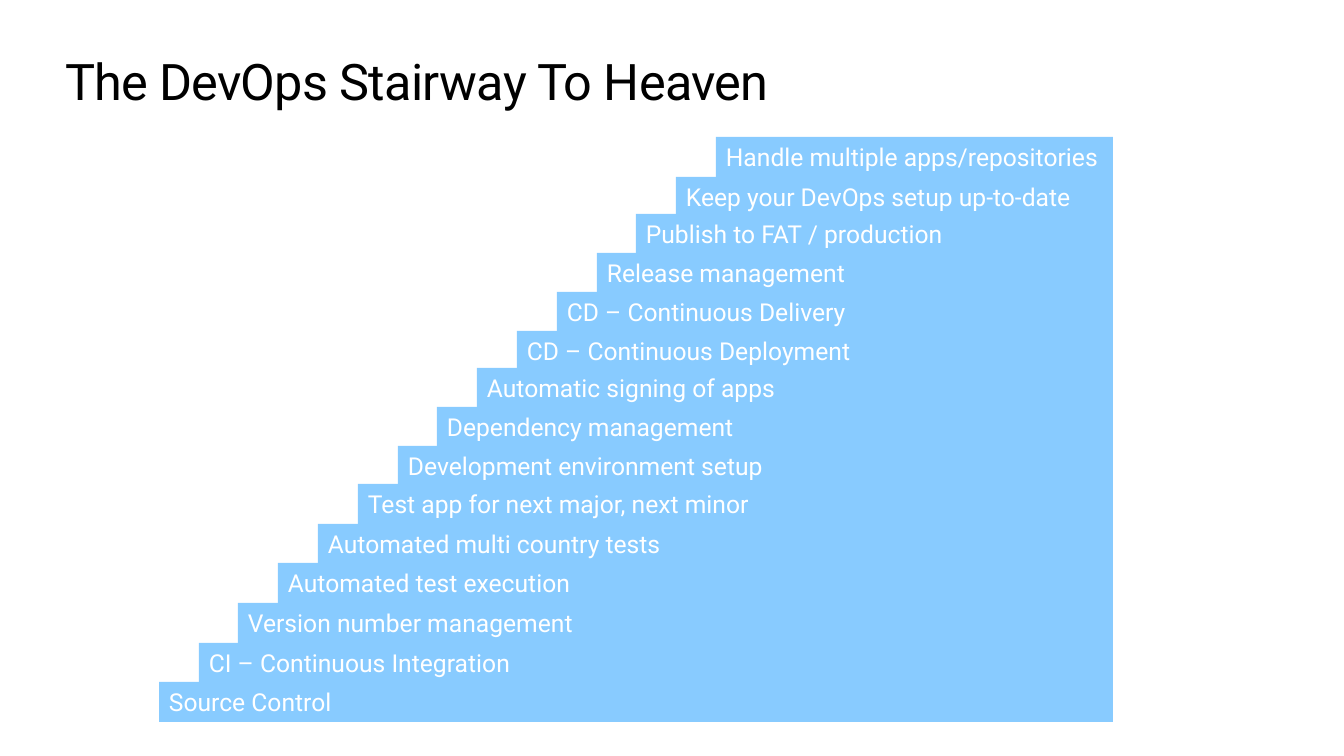
from pptx import Presentation
from pptx.dml.color import RGBColor
from pptx.enum.shapes import MSO_SHAPE
from pptx.enum.text import MSO_ANCHOR, MSO_AUTO_SIZE, PP_ALIGN
from pptx.util import Emu, Pt

RECTANGLE = MSO_SHAPE.RECTANGLE
TOP, MIDDLE = MSO_ANCHOR.TOP, MSO_ANCHOR.MIDDLE
LEFT = PP_ALIGN.LEFT
GROW = MSO_AUTO_SIZE.SHAPE_TO_FIT_TEXT

# Content: each step with its top edge in px, from the highest down
TITLE = "The DevOps Stairway To Heaven"
STEPS = [
    ("Handle multiple apps/repositories", 137),
    ("Keep your DevOps setup up-to-date", 177),
    ("Publish to FAT / production", 214),
    ("Release management", 253),
    ("CD – Continuous Delivery", 292),
    ("CD – Continuous Deployment", 331),
    ("Automatic signing of apps", 368),
    ("Dependency management", 407),
    ("Development environment setup", 446),
    ("Test app for next major, next minor", 484),
    ("Automated multi country tests", 524),
    ("Automated test execution", 563),
    ("Version number management", 603),
    ("CI – Continuous Integration", 643),
    ("Source Control", 682),
]

# Style
FONT = "Roboto"
BLUE = RGBColor(0x88, 0xCB, 0xFF)
WHITE = RGBColor(0xFF, 0xFF, 0xFF)
BLACK = RGBColor(0x00, 0x00, 0x00)

# Layout in px
PAGE_WIDTH, PAGE_HEIGHT = 1344, 756
TITLE_BOX = (65, 50, 1215, 62)
FIRST_LEFT, STEP_RIGHT, STEP_HEIGHT = 716, 1113, 40
STEP_SHIFT = 39.8


def px(length):
    return Emu(round(length * 914400 / 100.8))


def place(shape, left, top, width, height):
    shape.left, shape.top = px(left), px(top)
    shape.width, shape.height = px(width), px(height)


def write(frame, text, size, color):
    para = frame.paragraphs[0]
    para.alignment = LEFT
    para.line_spacing = 1.0
    span = para.add_run()
    span.text = text
    span.font.name = FONT
    span.font.size = Pt(size)
    span.font.color.rgb = color
    return span


def add_title(page):
    title = page.shapes.title
    place(title, *TITLE_BOX)
    frame = title.text_frame
    frame.margin_left = frame.margin_right = 0
    frame.margin_top = frame.margin_bottom = 0
    frame.vertical_anchor = TOP
    frame.word_wrap = True
    frame.auto_size = GROW
    span = write(frame, TITLE, 36, BLACK)
    span.font._element.set("spc", "-50")


def add_step(page, label, left, top):
    step = page.shapes.add_shape(
        RECTANGLE, px(left), px(top), px(STEP_RIGHT - left), px(STEP_HEIGHT))
    step.shadow.inherit = False
    step.fill.solid()
    step.fill.fore_color.rgb = BLUE
    step.line.fill.background()
    step.text_frame.vertical_anchor = MIDDLE
    step.text_frame.word_wrap = True
    write(step.text_frame, label, 17.6, WHITE)


def main():
    deck = Presentation()
    deck.slide_width, deck.slide_height = px(PAGE_WIDTH), px(PAGE_HEIGHT)
    page = deck.slides.add_slide(deck.slide_layouts[5])
    add_title(page)

    # Stairway: every lower step starts further left, all end at one edge
    for index, (label, top) in enumerate(STEPS):
        add_step(page, label, round(FIRST_LEFT - index * STEP_SHIFT), top)

    deck.save("out.pptx")


if __name__ == "__main__":
    main()
